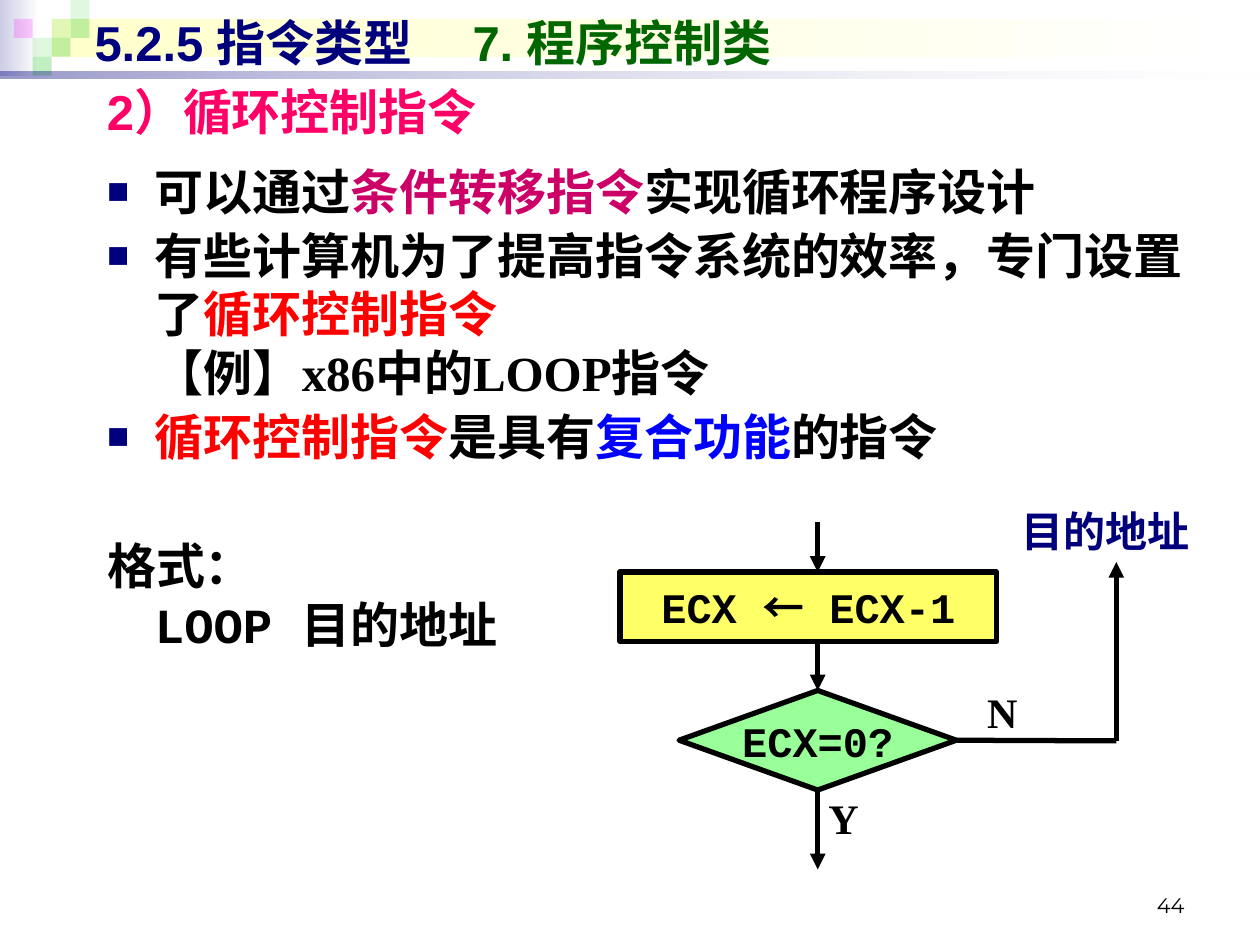
from lxml.etree import SubElement
from pptx import Presentation
from pptx.dml.color import RGBColor
from pptx.enum.shapes import MSO_CONNECTOR as CONN, MSO_SHAPE as SHAPE
from pptx.enum.text import MSO_ANCHOR as ANCHOR, MSO_AUTO_SIZE as AUTO, PP_ALIGN as ALIGN
from pptx.oxml.ns import qn
from pptx.util import Inches, Pt

C = {"navy": "00007D", "green": "006600", "black": "000000", "pink": "FF0066",
     "magenta": "CC0066", "red": "FF0000", "blue": "0000FF", "white": "FFFFFF",
     "yellow": "FFFF66", "mint": "99FF99", "cream": "FFFFCC", "lilac": "CDCDE6",
     "leaf": "33CC33", "fuchsia": "FF00FF"}
ARIAL, TIMES, COURIER, NOTO = "Arial", "Times New Roman", "Courier New", "Noto Sans CJK SC"

BANDS = [((0, 0, 0.31, 0.6), ("lilac", "white"), None),
         ((0.41, 0.15, 9.55, 0.3), ("cream", "white"), None),
         ((0, 0.57, 10, 0.05), ("navy", "white"), (40, 10))]
SQUARE = 0.15
SQUARES = [(2, 1, "leaf", 15), (3, 0, "leaf", 15), (3, 1, "leaf", 30), (1, 2, "leaf", 15),
           (0, 1, "fuchsia", 20), (2, 2, "leaf", 30), (1, 3, "leaf", 30)]

TITLE = [("5.2.5 指令类型\t", "navy", ARIAL), ("7. 程序控制类", "green", ARIAL)]
BODY = [
    (True, 0, [("可以通过", "black", TIMES), ("条件转移指令", "magenta", TIMES),
               ("实现循环程序设计", "black", TIMES)]),
    (True, 2.8, [("有些计算机为了提高指令系统的效率，专门设置了", "black", TIMES),
                 ("循环控制指令\v", "red", TIMES), ("【例】x86中的LOOP指令", "black", TIMES)]),
    (True, 2.8, [("循环控制指令", "red", TIMES), ("是具有", "black", TIMES),
                 ("复合功能", "blue", TIMES), ("的指令", "black", TIMES)]),
    (False, 40, [("格式：\vLOOP 目的地址", "black", COURIER)]),
]
LABELS = [
    ((0.75, 0.6, 8.98, 0.57), "2）循环控制指令", 28, ARIAL, "pink", True, ALIGN.LEFT, ANCHOR.TOP),
    ((7.68, 5.4, 0.55, 0.5), "N", 24, TIMES, "black", True, ALIGN.CENTER, ANCHOR.TOP),
    ((7.99, 3.96, 1.57, 0.5), "目的地址", 24, TIMES, "navy", True, ALIGN.CENTER, ANCHOR.TOP),
    ((6.42, 6.24, 0.55, 0.5), "Y", 24, TIMES, "black", True, ALIGN.CENTER, ANCHOR.TOP),
    ((7.17, 6.83, 2.33, 0.5), "44", 12, "Montserrat", "black", False, ALIGN.RIGHT, ANCHOR.BOTTOM),
]
NODES = {
    "step": (SHAPE.FLOWCHART_PROCESS, (4.92, 4.54, 2.99, 0.55), "yellow",
             [("ECX ", "black", COURIER), ("←", "black", NOTO), (" ECX-1", "black", COURIER)]),
    "test": (SHAPE.FLOWCHART_DECISION, (5.39, 5.48, 2.2, 0.79), "mint",
             [("ECX=0?", "black", COURIER)]),
}
LINES = [((6.49, 4.14), (6.49, 4.54), True, None, None),
         ((6.49, 5.09), (6.49, 5.48), True, None, ("test", 0)),
         ((7.59, 5.88), (8.86, 5.88), False, ("test", 3), None),
         ((8.86, 5.88), (8.86, 4.46), True, None, None),
         ((6.49, 6.27), (6.49, 6.9), True, ("test", 2), None)]


def rgb(name):
    return RGBColor.from_string(C[name])


def inches(box):
    return [Inches(v) for v in box]


def place(s, box):
    s.left, s.top, s.width, s.height = inches(box)


def set_alpha(s, values):
    for clr, value in zip(s._element.spPr.iter(qn("a:srgbClr")), values):
        SubElement(clr, qn("a:alpha"), val=str(value * 1000))


def add_runs(p, runs, size, bold=True):
    for text, color, face in runs:
        for i, part in enumerate(text.split("\v")):
            if i:
                p.add_line_break()
            if part:
                r = p.add_run()
                r.text = part
                for key, value in {"size": Pt(size), "bold": bold, "name": face}.items():
                    setattr(r.font, key, value)
                r.font.color.rgb = rgb(color)


def set_frame(tf, anchor, wrap=True):
    for key, value in {"word_wrap": wrap, "auto_size": AUTO.NONE,
                       "vertical_anchor": anchor}.items():
        setattr(tf, key, value)


def set_bullet(p, shown):
    pPr = p._p.get_or_add_pPr()
    pPr.set("marL", str(Inches(0.38)))
    pPr.set("indent", str(-Inches(0.38)))
    if shown:
        clr = SubElement(pPr, qn("a:buClr"))
        SubElement(clr, qn("a:srgbClr"), val=C["navy"])
        SubElement(pPr, qn("a:buSzPct"), val="75000")
        SubElement(pPr, qn("a:buFont"), typeface=ARIAL)
        SubElement(pPr, qn("a:buChar"), char="■")
    else:
        SubElement(pPr, qn("a:buNone"))


def add_rect(shapes, box):
    s = shapes.add_shape(SHAPE.RECTANGLE, *inches(box))
    s.shadow.inherit = False
    s.line.fill.background()
    return s


def add_decor(shapes):
    for box, colors, alphas in BANDS[:2]:
        add_band(shapes, box, colors, alphas)
    for col, row, color, alpha in SQUARES:
        s = add_rect(shapes, (0.11 + col * SQUARE, row * SQUARE, SQUARE, SQUARE))
        s.fill.solid()
        s.fill.fore_color.rgb = rgb(color)
        set_alpha(s, [alpha])
    add_band(shapes, *BANDS[2])


def add_band(shapes, box, colors, alphas):
    s = add_rect(shapes, box)
    s.fill.gradient()
    s.fill.gradient_angle = 0
    for stop, color, position in zip(s.fill.gradient_stops, colors, (0, 1)):
        stop.color.rgb = rgb(color)
        stop.position = position
    set_alpha(s, alphas or ())


def add_node(shapes, kind, box, color, runs):
    s = shapes.add_shape(kind, *inches(box))
    s.shadow.inherit = False
    s.fill.solid()
    s.fill.fore_color.rgb = rgb(color)
    s.line.color.rgb = rgb("black")
    s.line.width = Pt(3)
    set_frame(s.text_frame, ANCHOR.MIDDLE, False)
    p = s.text_frame.paragraphs[0]
    p.alignment = ALIGN.CENTER
    add_runs(p, runs, 24)
    return s


def add_line(shapes, nodes, start, end, arrow, source, target):
    s = shapes.add_connector(CONN.STRAIGHT, *inches(start + end))
    if source:
        s.begin_connect(nodes[source[0]], source[1])
    if target:
        s.end_connect(nodes[target[0]], target[1])
    s.line.color.rgb = rgb("black")
    s.line.width = Pt(3)
    if arrow:
        SubElement(s.line._get_or_add_ln(), qn("a:tailEnd"), type="triangle")
    SubElement(s._element.spPr, qn("a:effectLst"))


def main():
    prs = Presentation()
    prs.slide_width, prs.slide_height = Inches(10), Inches(7.5)
    slide = prs.slides.add_slide(prs.slide_layouts[1])
    shapes = slide.shapes
    title, body = slide.placeholders
    add_decor(shapes)
    for s in (title, body):
        shapes._spTree.append(s._element)

    place(title, (0.65, 0.05, 9.23, 0.57))
    set_frame(title.text_frame, ANCHOR.MIDDLE)
    p = title.text_frame.paragraphs[0]
    p.alignment = ALIGN.LEFT
    add_runs(p, TITLE, 28)

    place(body, (0.75, 1.23, 8.98, 6.11))
    tf = body.text_frame
    set_frame(tf, ANCHOR.TOP)
    for i, (bullet, before, runs) in enumerate(BODY):
        p = tf.add_paragraph() if i else tf.paragraphs[0]
        p.space_before = Pt(before)
        set_bullet(p, bullet)
        add_runs(p, runs, 28)

    for box, text, size, face, color, bold, align, anchor in LABELS:
        s = shapes.add_textbox(*inches(box))
        set_frame(s.text_frame, anchor)
        p = s.text_frame.paragraphs[0]
        p.alignment = align
        add_runs(p, [(text, color, face)], size, bold)

    nodes = {name: add_node(shapes, *node) for name, node in NODES.items()}
    for line in LINES:
        add_line(shapes, nodes, *line)
    prs.save("out.pptx")


if __name__ == "__main__":
    main()
